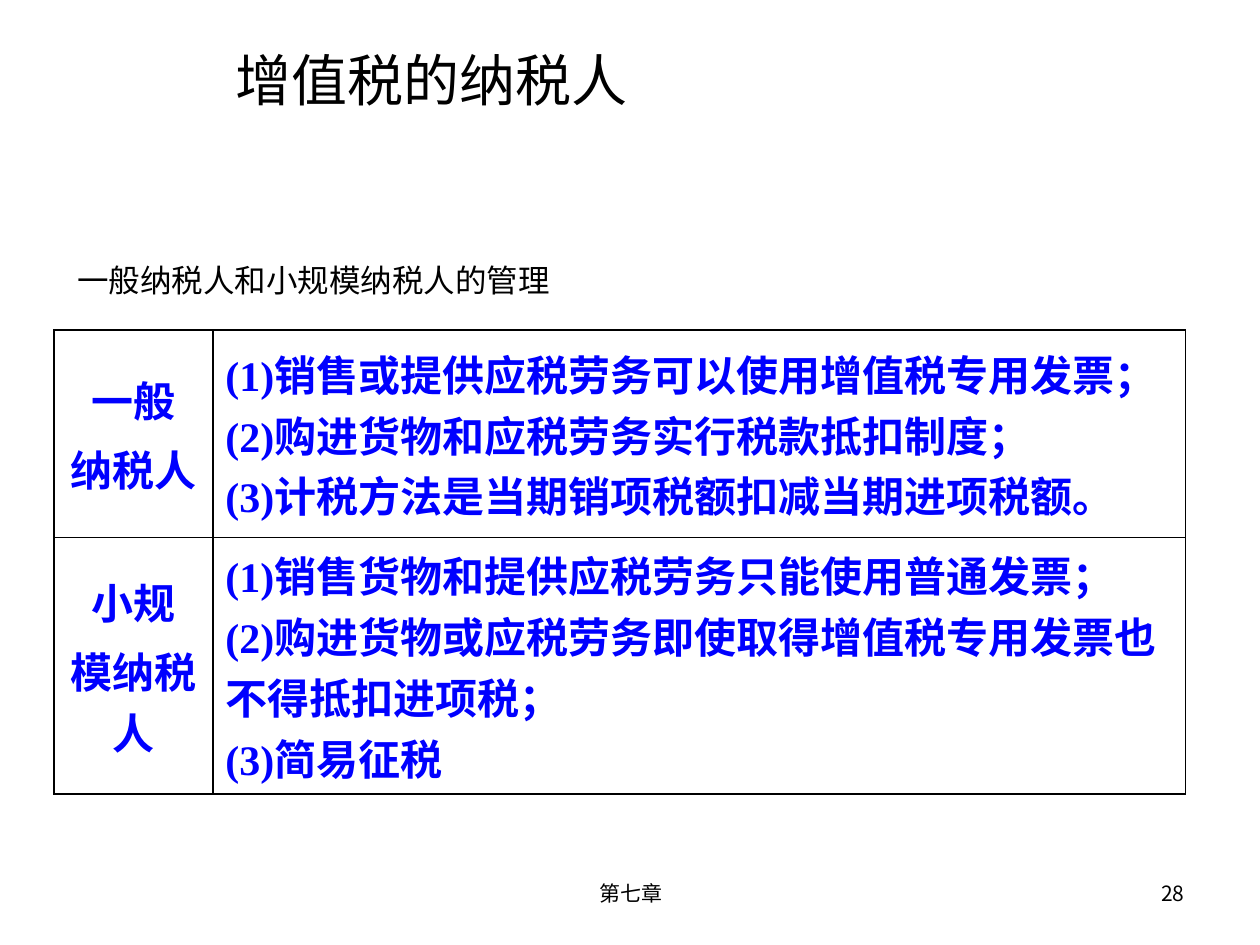
"""Build a slide on the administration of value-added-tax payers."""
from dataclasses import dataclass

from lxml import etree
from pptx import Presentation
from pptx import util as u
from pptx.dml.color import RGBColor
from pptx.enum import text
from pptx.oxml import ns


@dataclass(frozen=True)
class Theme:
    ink: RGBColor = RGBColor(0, 0, 0)
    accent: RGBColor = RGBColor(0, 0, 0xFF)
    sans: str = "Noto Sans CJK SC"
    serif: str = "Times New Roman"
    title: int = 32
    cell: int = 24
    subtitle: int = 18
    footer: int = 12
    border: float = 1


@dataclass(frozen=True)
class Box:
    left: float
    top: float
    width: float
    height: float

    def lengths(self) -> tuple:
        return tuple(u.Cm(n) for n in (self.left, self.top, self.width, self.height))


@dataclass(frozen=True)
class Label:
    wording: str
    box: Box
    size: int
    align: text.PP_ALIGN
    anchor: text.MSO_ANCHOR
    wrap: bool = True


@dataclass(frozen=True)
class Taxpayer:
    name: list
    rules: list


THEME = Theme()
LEFT, CENTER, RIGHT = text.PP_ALIGN.LEFT, text.PP_ALIGN.CENTER, text.PP_ALIGN.RIGHT
TOP, MIDDLE = text.MSO_ANCHOR.TOP, text.MSO_ANCHOR.MIDDLE

TITLE = Label("增值税的纳税人", Box(4.5, 0.79, 8.43, 1.6), THEME.title, LEFT, TOP, False)
SUBTITLE = Label("一般纳税人和小规模纳税人的管理", Box(1.3, 5.13, 15.6, 1.02),
                 THEME.subtitle, LEFT, TOP)
FOOTERS = [
    Label("第七章", Box(8.69, 17.35, 8.05, 1.32), THEME.footer, CENTER, MIDDLE),
    Label("28", Box(18.21, 17.35, 5.92, 1.32), THEME.footer, RIGHT, MIDDLE),
]
TABLE_BOX = Box(1.09, 6.65, 22.81, 8.38)
COLUMN_WIDTHS = (3.2, 19.61)
TAXPAYERS = [
    Taxpayer(["一般", "纳税人"], [
        "(1)销售或提供应税劳务可以使用增值税专用发票；",
        "(2)购进货物和应税劳务实行税款抵扣制度；",
        "(3)计税方法是当期销项税额扣减当期进项税额。",
    ]),
    Taxpayer(["小规", "模纳税人"], [
        "(1)销售货物和提供应税劳务只能使用普通发票；",
        "(2)购进货物或应税劳务即使取得增值税专用发票也不得抵扣进项税；",
        "(3)简易征税",
    ]),
]


def style_run(run, size: int, color: RGBColor, latin: str, bold: bool) -> None:
    """Format a run with Latin and East Asian fonts."""
    run.font.size = u.Pt(size)
    run.font.bold = bold
    run.font.color.rgb = color
    run.font.name = latin
    east_asian = etree.Element(ns.qn("a:ea"), typeface=THEME.sans)
    run.font._element.find(ns.qn("a:latin")).addnext(east_asian)


def fill_label(shape, label: Label) -> None:
    """Place a text shape and write its single plain line."""
    shape.left, shape.top, shape.width, shape.height = label.box.lengths()
    frame = shape.text_frame
    frame.text = label.wording
    frame.word_wrap = label.wrap
    frame.auto_size = text.MSO_AUTO_SIZE.NONE
    frame.vertical_anchor = label.anchor
    paragraph = frame.paragraphs[0]
    properties = paragraph._p.get_or_add_pPr()
    properties.set("marL", "0")
    properties.set("indent", "0")
    etree.SubElement(properties, ns.qn("a:buNone"))
    paragraph.alignment = label.align
    paragraph.space_before = u.Pt(0)
    style_run(paragraph.runs[0], label.size, THEME.ink, THEME.sans, False)


def outline_cell(cell) -> None:
    """Clear the fill of a cell and draw its four borders."""
    cell.fill.background()
    properties = cell._tc.get_or_add_tcPr()
    for index, side in enumerate(("lnL", "lnR", "lnT", "lnB")):
        line = etree.Element(ns.qn(f"a:{side}"), w=str(u.Pt(THEME.border)))
        fill = etree.SubElement(line, ns.qn("a:solidFill"))
        etree.SubElement(fill, ns.qn("a:srgbClr"), val=str(THEME.ink))
        properties.insert(index, line)


def fill_cell(cell, lines: list, align: text.PP_ALIGN, gap: float) -> None:
    """Write the lines of a cell, separated by a gap in points."""
    cell.text_frame.text = "\n".join(lines)
    cell.vertical_anchor = MIDDLE
    for index, paragraph in enumerate(cell.text_frame.paragraphs):
        paragraph.alignment = align
        paragraph.space_before = u.Pt(gap if index else 0)
        style_run(paragraph.runs[0], THEME.cell, THEME.accent, THEME.serif, True)
    outline_cell(cell)


def add_taxpayer_table(slide) -> None:
    """Add the table with one row for each kind of taxpayer."""
    table = slide.shapes.add_table(
        len(TAXPAYERS), len(COLUMN_WIDTHS), *TABLE_BOX.lengths()).table
    table.first_row = table.horz_banding = False
    for column, width in zip(table.columns, COLUMN_WIDTHS):
        column.width = u.Cm(width)
    for row, taxpayer in zip(table.rows, TAXPAYERS):
        row.height = u.Cm(TABLE_BOX.height / len(TAXPAYERS))
        fill_cell(row.cells[0], taxpayer.name, CENTER, THEME.cell * 0.2)
        fill_cell(row.cells[1], taxpayer.rules, LEFT, 0)


def main() -> None:
    """Assemble and save the presentation."""
    presentation = Presentation()
    presentation.slide_width, presentation.slide_height = u.Cm(25.4), u.Cm(19.05)
    slide = presentation.slides.add_slide(presentation.slide_layouts[1])
    fill_label(slide.shapes.title, TITLE)
    fill_label(slide.placeholders[1], SUBTITLE)
    add_taxpayer_table(slide)
    for footer in FOOTERS:
        fill_label(slide.shapes.add_textbox(*footer.box.lengths()), footer)
    presentation.save("out.pptx")


if __name__ == "__main__":
    main()
